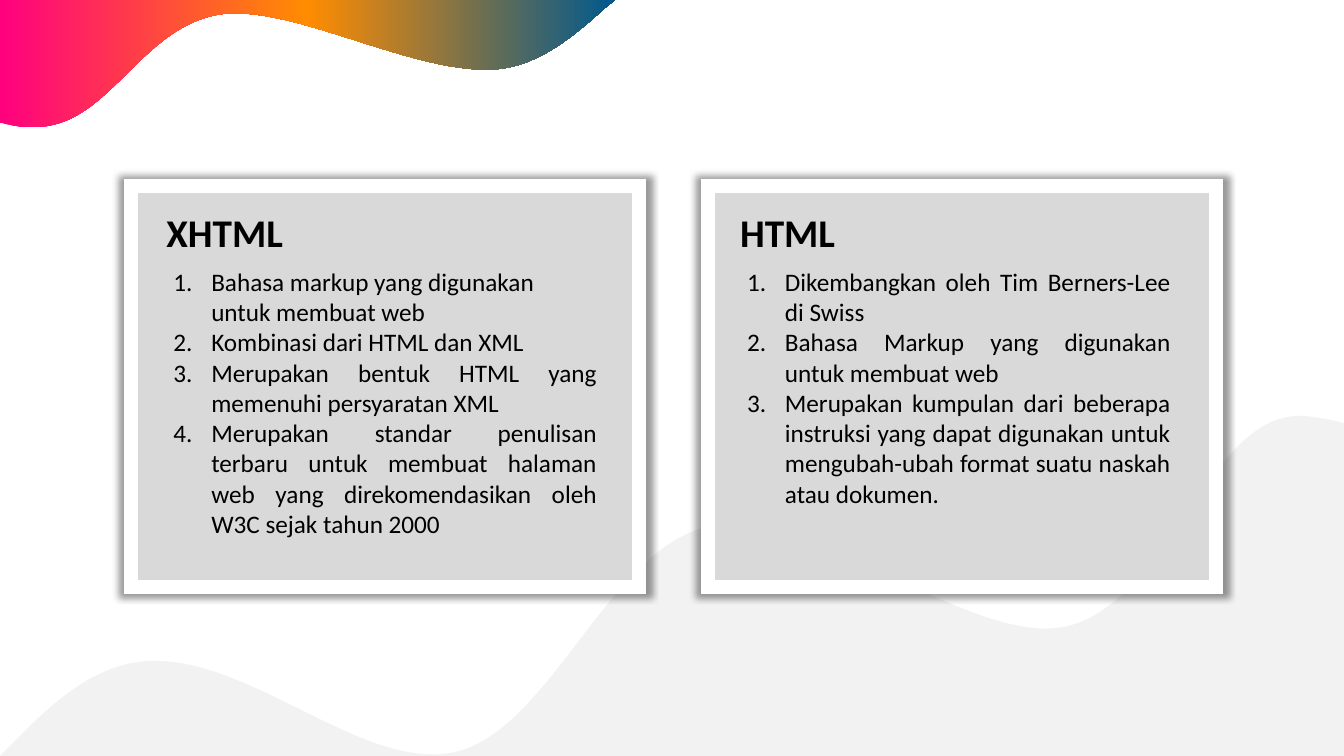
import copy

import pptx
import pptx.dml.color
import pptx.enum.shapes
import pptx.enum.text
import pptx.oxml
import pptx.oxml.ns
import pptx.util

Inches = pptx.util.Inches
Pt = pptx.util.Pt
Align = pptx.enum.text.PP_ALIGN

COLORS = {
    "text": "000000",
    "card": "D9D9D9",
    "border": "FFFFFF",
    "shadow": "000000",
    "hills": "F2F2F2",
    "pink": "FF017F",
    "orange": "FF8C01",
    "blue": "00598E",
}

# Outline steps: two numbers are a line, six numbers are a cubic curve.
HILLS = [
    (12.97, 4.13), (12.97, 4.13, 13.21, 4.16, 13.33, 4.2),
    (13.33, 7.5), (0, 7.5), (0.25, 7.25),
    (0.58, 6.92, 0.91, 6.66, 1.3, 6.58),
    (2.36, 6.37, 3.56, 7.68, 4.52, 7.46),
    (5.47, 7.23, 6.04, 5.43, 7.04, 5.22),
    (8.05, 5.02, 9.61, 6.4, 10.55, 6.22),
    (11.49, 6.04, 11.91, 4.41, 12.68, 4.16),
    (12.77, 4.13, 12.87, 4.12, 12.97, 4.13),
]
CORNER_WAVE = [
    (0, 0), (6.1, 0), (6, 0.08),
    (5.7, 0.35, 5.38, 0.62, 4.99, 0.68),
    (4.19, 0.79, 2.95, 0.05, 2.2, 0.14),
    (1.46, 0.24, 1.13, 1.11, 0.52, 1.24),
    (0.44, 1.26, 0.37, 1.26, 0.28, 1.26),
    (0.19, 1.26, 0.1, 1.24, 0.01, 1.22), (0, 1.22),
]

# Card left, text left, heading, then the list items with their alignment.
CARDS = [
    (1.3, 1.55, "XHTML", [
        ("Bahasa markup yang digunakan untuk membuat web", Align.LEFT),
        ("Kombinasi dari HTML dan XML", Align.LEFT),
        ("Merupakan bentuk HTML yang memenuhi persyaratan XML", Align.JUSTIFY),
        ("Merupakan standar penulisan terbaru untuk membuat halaman web "
         "yang direkomendasikan oleh W3C sejak tahun 2000", Align.JUSTIFY),
    ]),
    (7.02, 7.24, "HTML", [
        ("Dikembangkan oleh Tim Berners-Lee di Swiss", Align.JUSTIFY),
        ("Bahasa Markup yang digunakan untuk membuat web", Align.JUSTIFY),
        ("Merupakan kumpulan dari beberapa instruksi yang dapat digunakan untuk "
         "mengubah-ubah format suatu naskah atau dokumen.", Align.JUSTIFY),
    ]),
]


def rgb(name):
    return pptx.dml.color.RGBColor.from_string(COLORS[name])


def drawing_element(xml):
    """Parse a fragment whose first tag gets the drawing namespace."""
    namespace = pptx.oxml.ns.nsdecls("a")
    end = min(xml.index(mark) for mark in " />" if mark in xml)
    return pptx.oxml.parse_xml(f"{xml[:end]} {namespace}{xml[end:]}")


def bend_lines(shape, steps):
    """Replace the straight segments of curved steps by cubic curves."""
    lines = shape._element.spPr.xpath(".//a:lnTo")
    for line, step in zip(lines, steps[1:]):
        if len(step) == 6:
            points = "".join(
                f'<a:pt x="{Inches(x) - shape.left}" y="{Inches(y) - shape.top}"/>'
                for x, y in zip(step[::2], step[1::2]))
            curve = drawing_element(f"<a:cubicBezTo>{points}</a:cubicBezTo>")
            line.getparent().replace(line, curve)


def write_text(para, text, size=18, bold=False, align=Align.LEFT, numbered=False):
    para.alignment = align
    para.space_before = Pt(0)
    span = para.add_run()
    span.text = text
    span.font.name = "Calibri"
    span.font.size = Pt(size)
    span.font.bold = bold
    span.font.color.rgb = rgb("text")
    if numbered:
        properties = para._p.get_or_add_pPr()
        properties.set("marL", str(Pt(27)))
        properties.set("indent", str(-Pt(27)))
        properties.append(drawing_element('<a:buFont typeface="+mj-lt"/>'))
        properties.append(drawing_element('<a:buAutoNum type="arabicPeriod"/>'))


class SlideBuilder:
    def __init__(self, deck):
        comparison_layout = deck.slide_layouts[4]
        self.page = deck.slides.add_slide(comparison_layout)
        title = self.page.shapes.title._element
        title.getparent().remove(title)

    def wave(self, steps, colors):
        """Draw a closed outline, plain or with an even left-to-right gradient."""
        corners = [(Inches(step[-2]), Inches(step[-1])) for step in steps]
        builder = self.page.shapes.build_freeform(*corners[0])
        builder.add_line_segments(corners[1:], close=True)
        shape = builder.convert_to_shape()
        bend_lines(shape, steps)
        shape.shadow.inherit = False
        shape.line.fill.background()
        if len(colors) == 1:
            shape.fill.solid()
            shape.fill.fore_color.rgb = rgb(colors[0])
            return
        shape.fill.gradient()
        shape.fill.gradient_angle = 0
        stop_list = shape._element.spPr.xpath("a:gradFill/a:gsLst")[0]
        while len(stop_list) < len(colors):
            stop_list.append(copy.deepcopy(stop_list[0]))
        for index, (stop, color) in enumerate(zip(shape.fill.gradient_stops, colors)):
            stop.position = index / (len(colors) - 1)
            stop.color.rgb = rgb(color)

    def card(self, left):
        box = self.page.shapes.add_shape(
            pptx.enum.shapes.MSO_SHAPE.RECTANGLE,
            Inches(left), Inches(1.85), Inches(5.04), Inches(3.97))
        box.fill.solid()
        box.fill.fore_color.rgb = rgb("card")
        box.line.color.rgb = rgb("border")
        box.line.width = Pt(10)
        box.line._get_or_add_ln().append(drawing_element('<a:miter lim="800000"/>'))
        box.shadow.inherit = False
        effects = box._element.spPr.xpath("a:effectLst")[0]
        effects.append(drawing_element(
            f'<a:outerShdw blurRad="{Pt(5)}" dist="0" dir="0" sx="102000" sy="102000" '
            f'algn="ctr" rotWithShape="0"><a:srgbClr val="{COLORS["shadow"]}">'
            '<a:alpha val="40000"/></a:srgbClr></a:outerShdw>'))

    def text_frame(self, index, left, top, width, height):
        """Place a layout placeholder in front of the drawn shapes."""
        box = next(item for item in self.page.placeholders
                   if item.placeholder_format.idx == index)
        box.left, box.top = Inches(left), Inches(top)
        box.width, box.height = Inches(width), Inches(height)
        self.page.shapes._spTree.append(box._element)
        frame = box.text_frame
        frame.word_wrap = True
        frame.vertical_anchor = pptx.enum.text.MSO_ANCHOR.TOP
        frame.auto_size = pptx.enum.text.MSO_AUTO_SIZE.SHAPE_TO_FIT_TEXT
        return frame

    def heading(self, index, left, text):
        frame = self.text_frame(index, left, 2.02, 3.32, 0.57)
        write_text(frame.paragraphs[0], text, size=28, bold=True)

    def numbered_list(self, index, left, height, items):
        frame = self.text_frame(index, left, 2.59, 4.4, height)
        for number, (text, align) in enumerate(items):
            para = frame.add_paragraph() if number else frame.paragraphs[0]
            write_text(para, text, align=align, numbered=True)


def main():
    deck = pptx.Presentation()
    deck.slide_width, deck.slide_height = Inches(13.33), Inches(7.5)
    builder = SlideBuilder(deck)
    builder.wave(HILLS, ["hills"])
    builder.wave(CORNER_WAVE, ["pink", "orange", "blue"])
    for card_left, *_ in CARDS:
        builder.card(card_left)
    for number, (_, text_left, heading, items) in enumerate(CARDS):
        builder.heading(2 * number + 1, text_left, heading)
        list_height = 2.83 if number == 0 else 2.52
        builder.numbered_list(2 * number + 2, text_left + 0.07, list_height, items)
    deck.save("out.pptx")


if __name__ == "__main__":
    main()
